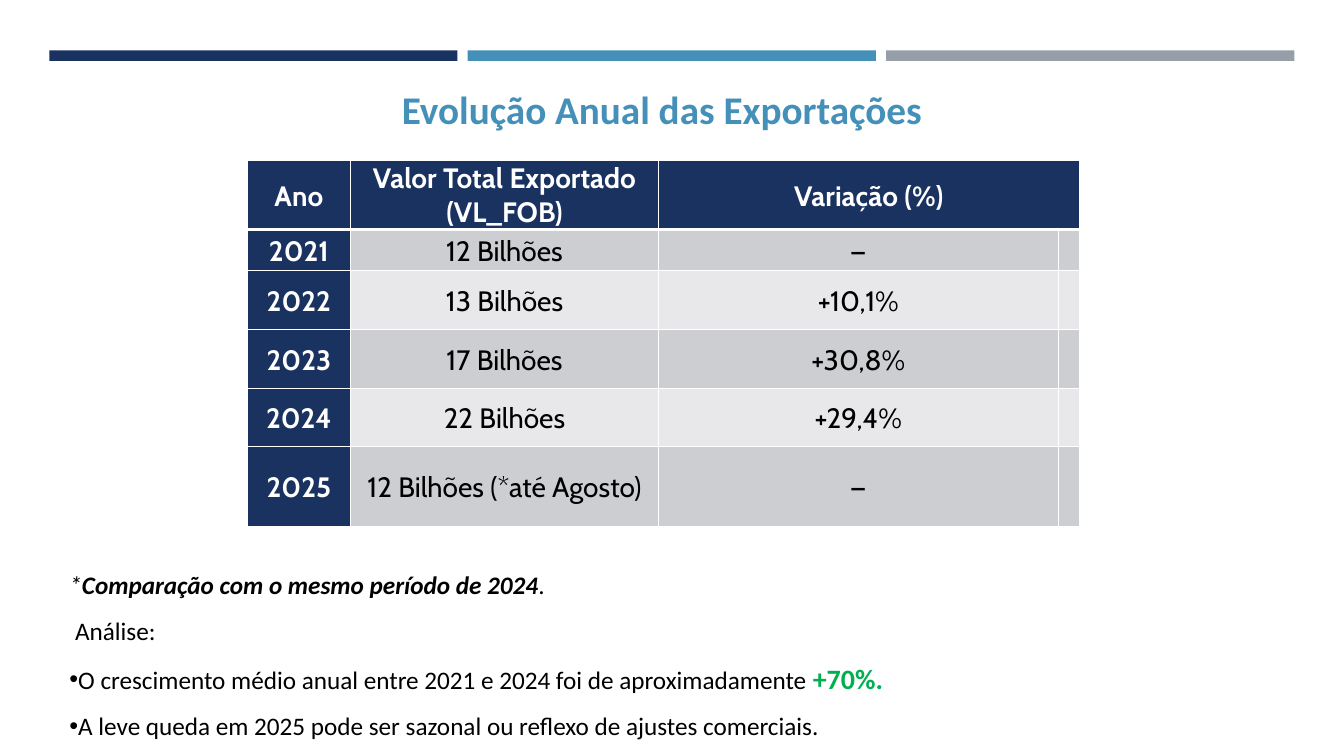
from lxml import etree
from pptx import Presentation
from pptx.dml.color import RGBColor
from pptx.enum.shapes import MSO_SHAPE
from pptx.enum.text import MSO_ANCHOR, PP_ALIGN
from pptx.oxml.ns import qn
from pptx.util import Pt

RECT = MSO_SHAPE.RECTANGLE
MIDDLE = MSO_ANCHOR.MIDDLE
CENTER = PP_ALIGN.CENTER

NAVY = RGBColor(0x1A, 0x32, 0x60)
BLUE = RGBColor(0x45, 0x90, 0xB8)
GRAY = RGBColor(0x96, 0x9F, 0xA7)
BAND_DARK = RGBColor(0xCD, 0xCE, 0xD2)
BAND_LIGHT = RGBColor(0xE8, 0xE8, 0xEA)
GREEN = RGBColor(0x00, 0xB0, 0x50)
BLACK = RGBColor(0, 0, 0)
WHITE = RGBColor(0xFF, 0xFF, 0xFF)

HEADER = ["Ano", "Valor Total Exportado (VL_FOB)", "Variação (%)", ""]
EXPORTS = [
    ["2021", "12 Bilhões", "—", ""],
    ["2022", "13 Bilhões", "+10,1%", ""],
    ["2023", "17 Bilhões", "+30,8%", ""],
    ["2024", "22 Bilhões", "+29,4%", ""],
    ["2025", "12 Bilhões (*até Agosto)", "—", ""],
]
COL_WIDTHS = [74.2, 219.6, 285.8, 15.1]
ROW_HEIGHTS = [44, 29.5, 41.8, 42.5, 41, 57.6]

NOTES = [
    (False, [("*", {"italic": True}),
             ("Comparação com o mesmo período de 2024", {"italic": True, "bold": True}),
             (".", {"italic": True})]),
    (False, [(" Análise:", {})]),
    (True, [("O crescimento médio anual entre 2021 e 2024 foi de aproximadamente ", {}),
            ("+70%.", {"size": 20, "color": GREEN, "bold": True})]),
    (True, [("A leve queda em 2025 pode ser sazonal ou reflexo de ajustes comerciais.", {})]),
]


def add_run(p, text, font="Calibri", size=18, color=BLACK, bold=False, italic=False):
    r = p.add_run()
    r.text = text
    r.font.name = font
    r.font.size = Pt(size)
    r.font.color.rgb = color
    r.font.bold = bold
    r.font.italic = italic


class SlideBuilder:
    """Draws styled elements, measured in points, on one slide."""

    def __init__(self, slide, table_font="Cabin", table_size=20, inset=0.7):
        self.s = slide
        self.table_font = table_font
        self.table_size = table_size
        self.inset = inset

    def bar(self, x, y, w, h, color):
        sp = self.s.shapes.add_shape(RECT, Pt(x), Pt(y), Pt(w), Pt(h))
        sp.shadow.inherit = False
        sp.fill.solid()
        sp.fill.fore_color.rgb = color
        sp.line.fill.background()

    def text(self, x, y, w, h, paragraphs, spacing=1.0):
        tf = self.s.shapes.add_textbox(Pt(x), Pt(y), Pt(w), Pt(h)).text_frame
        tf.word_wrap = True
        for i, (bulleted, runs) in enumerate(paragraphs):
            p = tf.add_paragraph() if i else tf.paragraphs[0]
            p.line_spacing = spacing
            if bulleted:
                self.bullet(p)
            for text, style in runs:
                add_run(p, text, **style)

    def bullet(self, p):
        pPr = p._p.get_or_add_pPr()
        pPr.set("marL", "0")
        pPr.set("indent", "0")
        etree.SubElement(pPr, qn("a:buFont")).set("typeface", "Arial")
        etree.SubElement(pPr, qn("a:buChar")).set("char", "•")

    def borders(self, cell, top, bottom):
        tcPr = cell._tc.get_or_add_tcPr()
        widths = {"a:lnL": 1, "a:lnR": 1, "a:lnT": top, "a:lnB": bottom}
        for i, (tag, width) in enumerate(widths.items()):
            ln = etree.Element(qn(tag), w=str(Pt(width)))
            fill = etree.SubElement(ln, qn("a:solidFill"))
            etree.SubElement(fill, qn("a:srgbClr")).set("val", str(WHITE))
            tcPr.insert(i, ln)

    def cell(self, cell, text, fill, strong, spacing):
        cell.fill.solid()
        cell.fill.fore_color.rgb = fill
        cell.vertical_anchor = MIDDLE
        cell.margin_left = cell.margin_right = Pt(self.inset)
        cell.margin_top = cell.margin_bottom = Pt(self.inset)
        if text:
            p = cell.text_frame.paragraphs[0]
            p.alignment = CENTER
            p.line_spacing = spacing
            if spacing > 1:
                p.space_after = Pt(8)
            add_run(p, text, font=self.table_font, size=self.table_size,
                    color=WHITE if strong else BLACK, bold=strong)

    def table(self, x, y, rows, widths, heights):
        table = self.s.shapes.add_table(len(rows), len(widths), Pt(x), Pt(y),
                                        Pt(sum(widths)), Pt(sum(heights))).table
        table.horz_banding = False
        for col, width in zip(table.columns, widths):
            col.width = Pt(width)
        for row, height in zip(table.rows, heights):
            row.height = Pt(height)
        for i, row in enumerate(rows):
            for j, text in enumerate(row):
                strong = i == 0 or j == 0
                fill = NAVY if strong else BAND_DARK if i % 2 else BAND_LIGHT
                spacing = 1.0 if (i, j) == (0, 1) else 1.07
                cell = table.cell(i, j)
                self.cell(cell, text, fill, strong, spacing)
                self.borders(cell, top=3 if i == 1 else 1, bottom=3 if i == 0 else 1)
        table.cell(0, 2).merge(table.cell(0, 3))


def main():
    prs = Presentation()
    prs.slide_width, prs.slide_height = Pt(960), Pt(540)
    b = SlideBuilder(prs.slides.add_slide(prs.slide_layouts[6]))
    for i, color in enumerate([NAVY, BLUE, GRAY]):
        b.bar(35.2 + i * 298.9, 36, 291.6, 7.6, color)
    b.text(42.5, 392.4, 905.8, 138.2, NOTES, spacing=1.5)
    b.table(176.4, 114.5, [HEADER] + EXPORTS, COL_WIDTHS, ROW_HEIGHTS)
    title = ("Evolução Anual das Exportações", {"size": 28, "color": BLUE, "bold": True})
    b.text(280, 57.6, 479.5, 41, [(False, [title])])
    prs.save("out.pptx")


if __name__ == "__main__":
    main()
